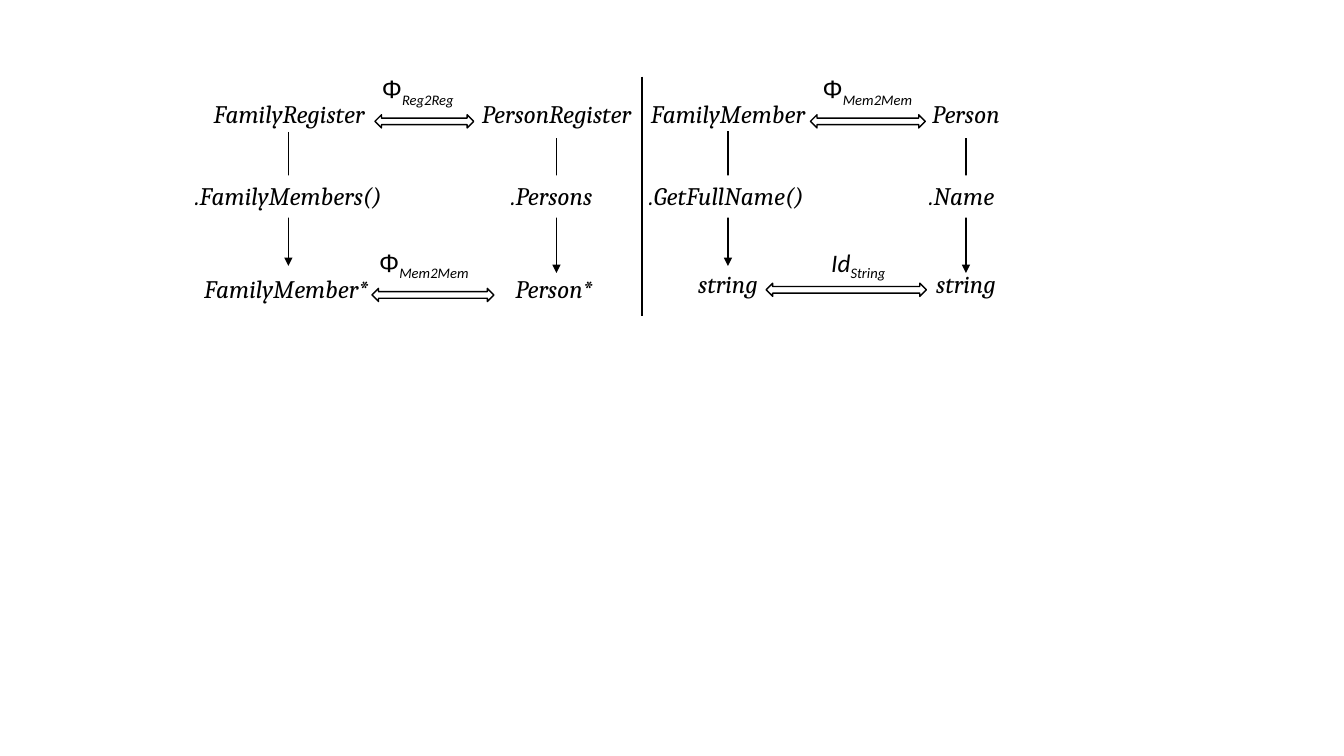
from lxml import etree
from pptx import Presentation
from pptx.dml.color import RGBColor
from pptx.enum.shapes import MSO_CONNECTOR, MSO_SHAPE
from pptx.enum.text import MSO_ANCHOR, MSO_AUTO_SIZE, PP_ALIGN
from pptx.oxml.ns import qn
from pptx.util import Pt

RECTANGLE, DOUBLE_ARROW = MSO_SHAPE.RECTANGLE, MSO_SHAPE.LEFT_RIGHT_ARROW
STRAIGHT = MSO_CONNECTOR.STRAIGHT
BLACK, WHITE = "000000", "FFFFFF"
TEXT_SIZE, INSET = 18, 3.6
LABEL_HEIGHT, SYMBOL_HEIGHT, ARROW_HEIGHT = 30.2, 33.8, 9.4
SOURCE_TOP, ACCESSOR_TOP = 67, 125.3

# Each path: shaft x, shaft top, shaft bottom, target top,
# then source, accessor and target as (text, centre x, width)
PATHS = [
    (206, 94.3, 190, 191.5, ("FamilyRegister", 206.5, 119.5),
     (".FamilyMembers()", 206, 142.5), ("FamilyMember*", 204.5, 128)),
    (397.5, 98.6, 195, 191.5, ("PersonRegister", 397.5, 119.5),
     (".Persons", 394, 70.5), ("Person*", 395.7, 68.4)),
    (520, 93.6, 190, 188, ("FamilyMember", 520, 119.5),
     (".GetFullName()", 519, 122.4), ("string", 520, 50.4)),
    (690, 98.6, 195, 188, ("Person", 690, 59),
     (".Name", 687, 54.7), ("string", 690, 50.4)),
]
# Each mapping: arrow left, top, width; symbol left, top, width;
# symbol, its font, its slant, subscript
MAPPINGS = [
    ((267.8, 82, 70.6), (265.7, 49, 65.5), ("Φ", "Arial", False, "Reg2Reg")),
    ((265.7, 206, 87.1), (265, 172.8, 75.6), ("Φ", "Arial", False, "Mem2Mem")),
    ((578.9, 82, 82.1), (581.8, 49, 75.6), ("Φ", "Arial", False, "Mem2Mem")),
    ((547.2, 202.3, 114.5), (586.8, 172.8, 52.6), ("Id", "Calibri", True, "String")),
]
DIVIDER = (458.6, 54.7, 225.4)


def colour(hex_code):
    return RGBColor.from_string(hex_code)


def add_run(paragraph, text, font_name, italic):
    run = paragraph.add_run()
    run.text = text
    font = run.font
    font.name, font.size, font.italic = font_name, Pt(TEXT_SIZE), italic
    font.color.rgb = colour(BLACK)
    return run


def centred_paragraph(shape):
    """Set up an unwrapped text frame and return its centred paragraph."""
    frame = shape.text_frame
    frame.margin_left = frame.margin_right = Pt(INSET)
    frame.margin_top = frame.margin_bottom = Pt(INSET)
    frame.word_wrap = False
    frame.auto_size = MSO_AUTO_SIZE.SHAPE_TO_FIT_TEXT
    frame.vertical_anchor = MSO_ANCHOR.TOP
    frame.paragraphs[0].alignment = PP_ALIGN.CENTER
    return frame.paragraphs[0]


def add_white_shape(shapes, preset, left, top, width, height):
    shape = shapes.add_shape(preset, Pt(left), Pt(top), Pt(width), Pt(height))
    shape.shadow.inherit = False
    shape.fill.solid()
    shape.fill.fore_color.rgb = colour(WHITE)
    return shape


def add_label(shapes, label, top, masks_shaft=False):
    text, centre, width = label
    left = centre - width / 2
    if masks_shaft:
        box = add_white_shape(shapes, RECTANGLE, left, top, width, LABEL_HEIGHT)
        box.line.fill.background()
    else:
        box = shapes.add_textbox(Pt(left), Pt(top), Pt(width), Pt(LABEL_HEIGHT))
    add_run(centred_paragraph(box), text, "Cambria", True)


def add_vertical(shapes, x, top, bottom, arrowhead=False):
    line = shapes.add_connector(STRAIGHT, Pt(x), Pt(top), Pt(x), Pt(bottom))
    line.line.color.rgb = colour(BLACK)
    line.line.width = Pt(1)
    if arrowhead:
        outline = line.line._get_or_add_ln()
        etree.SubElement(outline, qn("a:tailEnd"), type="triangle")
    etree.SubElement(line._element.spPr, qn("a:effectLst"))


def add_mapping(shapes, arrow_place, symbol_place, wording):
    arrow = add_white_shape(shapes, DOUBLE_ARROW, *arrow_place, ARROW_HEIGHT)
    arrow.line.color.rgb = colour(BLACK)
    arrow.line.width = Pt(1)

    left, top, width = symbol_place
    symbol, font_name, italic, subscript = wording
    box = shapes.add_textbox(Pt(left), Pt(top), Pt(width), Pt(SYMBOL_HEIGHT))
    paragraph = centred_paragraph(box)
    add_run(paragraph, symbol, font_name, italic)
    lowered = add_run(paragraph, subscript, "Calibri", True)
    lowered.font._element.set("baseline", "-25000")


def main():
    deck = Presentation()
    deck.slide_width, deck.slide_height = Pt(960), Pt(540)
    shapes = deck.slides.add_slide(deck.slide_layouts[6]).shapes

    for x, top, bottom, target_top, source, accessor, target in PATHS:
        add_label(shapes, source, SOURCE_TOP)
        add_label(shapes, target, target_top)
        add_vertical(shapes, x, top, bottom, arrowhead=True)
        add_label(shapes, accessor, ACCESSOR_TOP, masks_shaft=True)
    for mapping in MAPPINGS:
        add_mapping(shapes, *mapping)
    add_vertical(shapes, *DIVIDER)

    deck.save("out.pptx")


if __name__ == "__main__":
    main()
